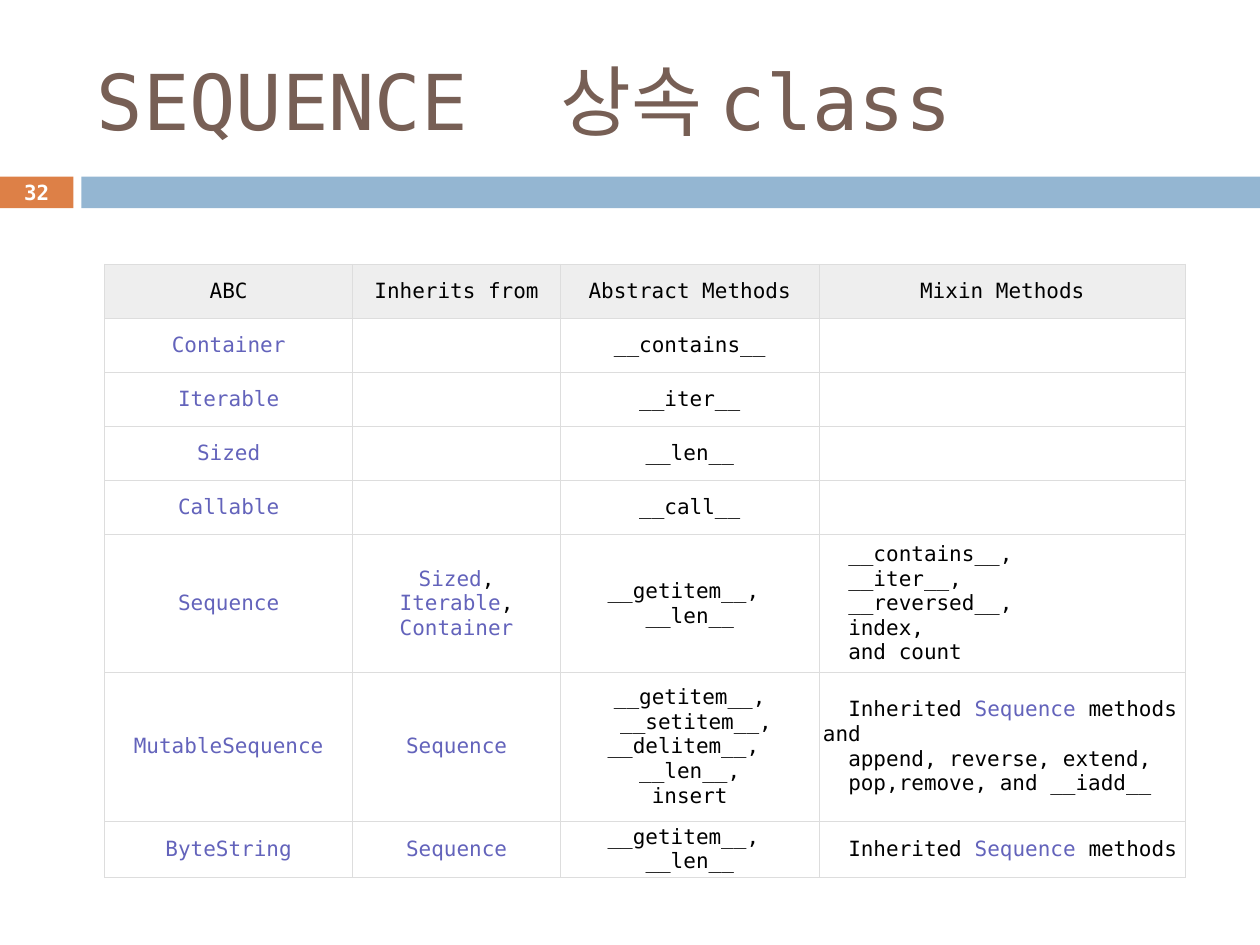
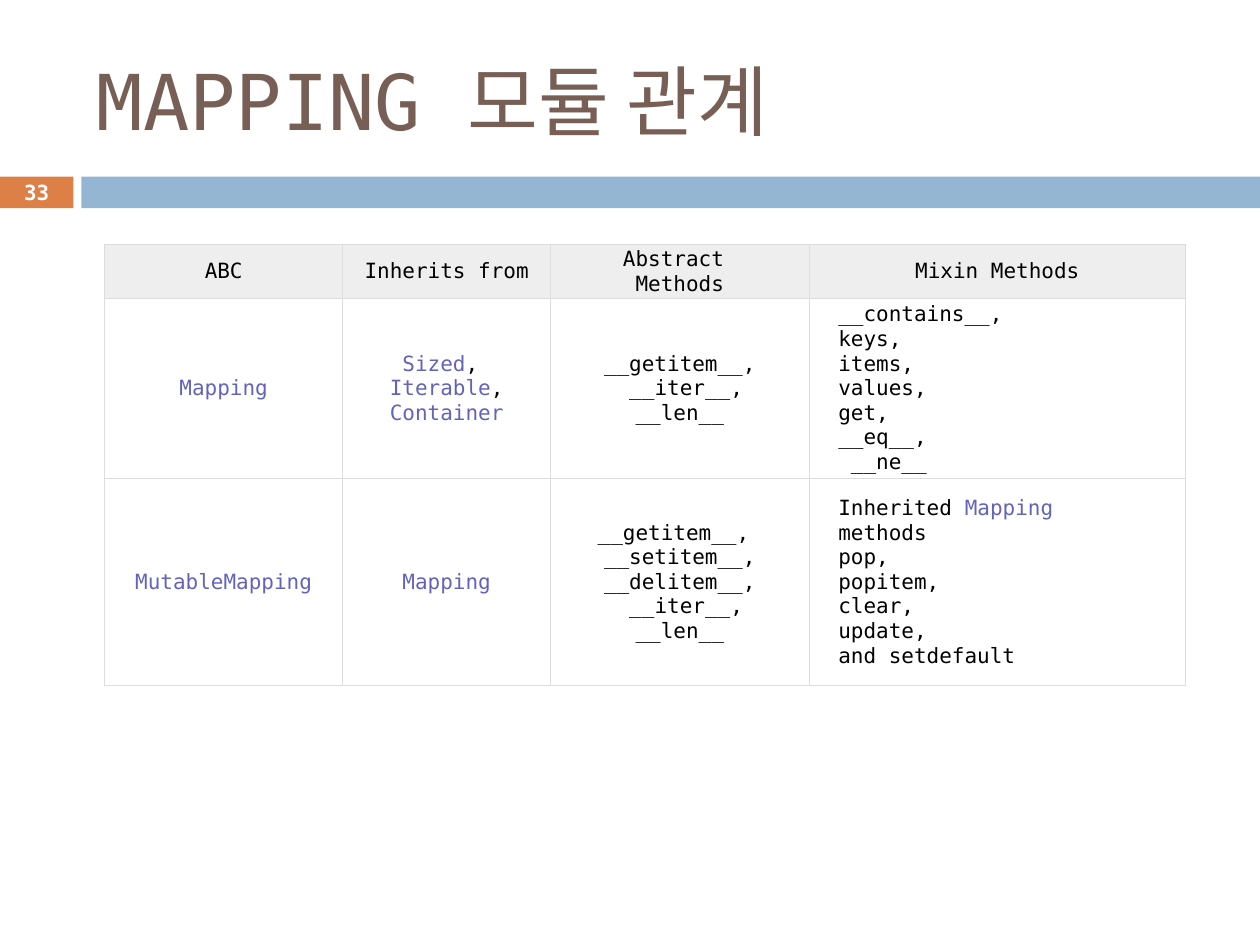
from lxml import etree
from pptx import Presentation
from pptx.dml.color import RGBColor
from pptx.enum import shapes, text
from pptx.oxml.ns import qn
from pptx.util import Cm, Pt

# Content: `backticks` mark linked class names, a list holds the lines of a cell
HEADINGS = ["ABC", "Inherits from", "Abstract Methods", "Mixin Methods"]
PARENTS = ["`Sized`,", "`Iterable`,", "`Container`"]

PAGES = [
    {
        "number": "32",
        "title": "SEQUENCE  상속 class",
        "top": 5.33,
        "columns": [5, 4.19, 5.21, 7.39],
        "rows": [
            (1.09, HEADINGS),
            (1.09, ["`Container`", "", "__contains__", ""]),
            (1.09, ["`Iterable`", "", "__iter__", ""]),
            (1.09, ["`Sized`", "", "__len__", ""]),
            (1.09, ["`Callable`", "", "__call__", ""]),
            (2.77, ["`Sequence`", PARENTS,
                    ["__getitem__, ", "__len__"],
                    ["__contains__, ", "__iter__, ", "__reversed__, ",
                     "index,", "and count"]]),
            (3.0, ["`MutableSequence`", "`Sequence`",
                   ["__getitem__,", " __setitem__,", "__delitem__, ",
                    "__len__,", "insert"],
                   ["Inherited `Sequence `methods and",
                    "append, reverse, extend, ",
                    "pop,remove, and __iadd__"]]),
            (1.14, ["`ByteString`", "`Sequence`",
                    ["__getitem__, ", "__len__"],
                    "Inherited `Sequence `methods"]),
        ],
    },
    {
        "number": "33",
        "title": "MAPPING 모듈 관계",
        "top": 4.93,
        "columns": [4.8, 4.19, 5.21, 7.59],
        "rows": [
            (1.09, HEADINGS[:2] + [["Abstract ", "Methods"]] + HEADINGS[3:]),
            (3.55, ["`Mapping`", ["`Sized`, "] + PARENTS[1:],
                    ["__getitem__,", " __iter__,", "__len__"],
                    ["__contains__, ", "keys,", "items, ", "values, ",
                     "get,", "__eq__,", " __ne__"]]),
            (4.19, ["`MutableMapping`", "`Mapping`",
                    ["__getitem__, ", "__setitem__,", "__delitem__,",
                     " __iter__,", "__len__"],
                    ["Inherited `Mapping `", "methods", "pop, ", "popitem, ",
                     "clear, ", "update,", "and setdefault"]]),
        ],
    },
]

# Shared style
FONT = "DejaVu Sans Mono"
ORANGE, BLUE, BROWN = "DD8047", "94B6D2", "775F55"
BLACK, WHITE, LINK = "000000", "FFFFFF", "6363BB"
HEADING_FILL, BORDER = "EEEEEE", "DDDDDD"
WIDTH, HEIGHT = 25.4, 19.05
BAND_TOP, BAND_HEIGHT = 3.56, 0.64
NUMBER_WIDTH, BAND_LEFT = 1.48, 1.64
TABLE_LEFT, MIXIN_INDENT = 2.11, 0.51
MIXIN_COLUMN = HEADINGS.index("Mixin Methods")


def color(hex_value):
    return RGBColor.from_string(hex_value)


def add_run(paragraph, words, size, hex_value, bold=False):
    run = paragraph.add_run()
    run.text = words
    run.font.name, run.font.size, run.font.bold = FONT, Pt(size), bold
    run.font.color.rgb = color(hex_value)


def add_band(slide, left, width, hex_value):
    band = slide.shapes.add_shape(shapes.MSO_SHAPE.RECTANGLE, Cm(left),
                                  Cm(BAND_TOP), Cm(width), Cm(BAND_HEIGHT))
    band.shadow.inherit = False
    band.fill.solid()
    band.fill.fore_color.rgb = color(hex_value)
    band.line.fill.background()


def add_label(slide, box, words, size, hex_value, align, bold=False):
    frame = slide.shapes.add_textbox(*map(Cm, box)).text_frame
    frame.word_wrap = True
    frame.vertical_anchor = text.MSO_ANCHOR.MIDDLE
    frame.paragraphs[0].alignment = align
    add_run(frame.paragraphs[0], words, size, hex_value, bold)
    return frame


def add_borders(cell):
    properties = cell._tc.get_or_add_tcPr()
    for side in ("lnL", "lnR", "lnT", "lnB"):
        line = etree.SubElement(properties, qn("a:" + side), w=str(Pt(0.6)))
        fill = etree.SubElement(line, qn("a:solidFill"))
        etree.SubElement(fill, qn("a:srgbClr"), val=BORDER)


def fill_cell(cell, content, heading, mixin):
    cell.margin_left = cell.margin_right = Cm(0.08)
    cell.margin_top = cell.margin_bottom = Cm(0.03)
    cell.vertical_anchor = text.MSO_ANCHOR.MIDDLE
    add_borders(cell)
    cell.fill.solid()
    cell.fill.fore_color.rgb = color(HEADING_FILL if heading else WHITE)

    lines = [content] if isinstance(content, str) else content
    for index, line in enumerate(lines):
        frame = cell.text_frame
        paragraph = frame.add_paragraph() if index else frame.paragraphs[0]
        if mixin and not heading:
            # Only the first line is indented; a wrapped line returns to the edge
            paragraph.alignment = text.PP_ALIGN.LEFT
            properties = paragraph._p.get_or_add_pPr()
            properties.set("marL", "0")
            properties.set("indent", str(Cm(MIXIN_INDENT)))
        else:
            paragraph.alignment = text.PP_ALIGN.CENTER
        for part, words in enumerate(line.split("`")):
            if words:
                add_run(paragraph, words, 12, LINK if part % 2 else BLACK)


def add_methods_table(slide, top, columns, rows):
    heights = [height for height, _ in rows]
    methods = slide.shapes.add_table(
        len(rows), len(columns), Cm(TABLE_LEFT), Cm(top),
        Cm(sum(columns)), Cm(sum(heights))).table
    methods.first_row = methods.horz_banding = False
    for column, width in zip(methods.columns, columns):
        column.width = Cm(width)
    for r, (height, contents) in enumerate(rows):
        methods.rows[r].height = Cm(height)
        for c, content in enumerate(contents):
            fill_cell(methods.cell(r, c), content, r == 0, c == MIXIN_COLUMN)


def add_page(deck, page):
    slide = deck.slides.add_slide(deck.slide_layouts[6])
    # Bands, title and page number
    add_band(slide, 0, NUMBER_WIDTH, ORANGE)
    add_band(slide, BAND_LEFT, WIDTH - BAND_LEFT, BLUE)
    add_label(slide, (1.7, 0.64, 22.66, 2.74), page["title"], 44, BROWN,
              text.PP_ALIGN.LEFT)
    number = add_label(slide, (0, 3.53, NUMBER_WIDTH, 0.69), page["number"],
                       11.9, WHITE, text.PP_ALIGN.CENTER, bold=True)
    number.margin_left = number.margin_right = 0
    number.margin_top = number.margin_bottom = 0
    # Table of classes
    add_methods_table(slide, page["top"], page["columns"], page["rows"])


def main():
    deck = Presentation()
    deck.slide_width, deck.slide_height = Cm(WIDTH), Cm(HEIGHT)
    for page in PAGES:
        add_page(deck, page)
    deck.save("out.pptx")


if __name__ == "__main__":
    main()
